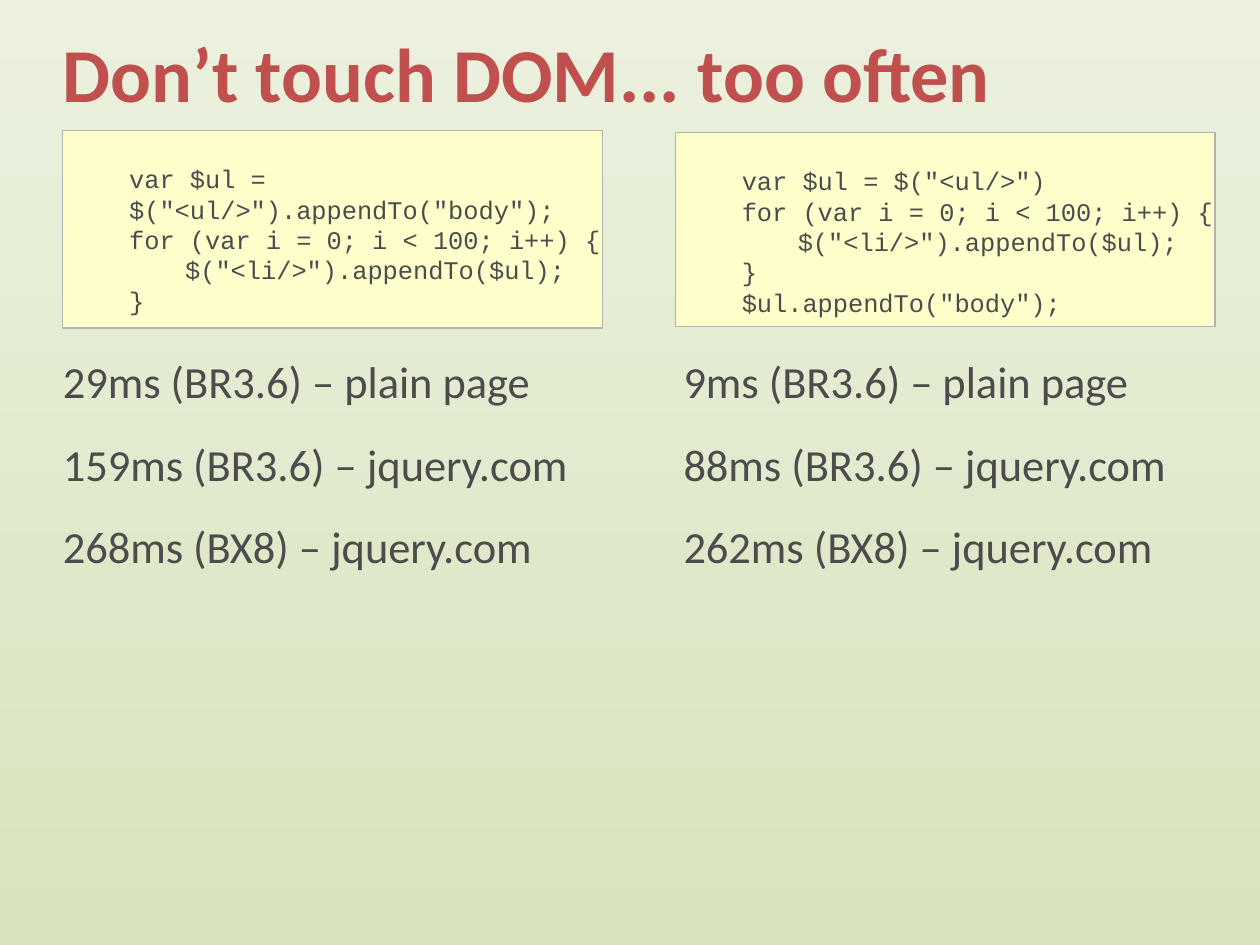
import dataclasses

import pptx
import pptx.dml.color
import pptx.enum.shapes
import pptx.enum.text
import pptx.util

Inches = pptx.util.Inches
Pt = pptx.util.Pt
RGB = pptx.dml.color.RGBColor.from_string


@dataclasses.dataclass(frozen=True)
class Theme:
    background: tuple = ("EBF1DE", "D7E4BD")
    title_color: str = "C0504D"
    text_color: str = "4C4C4C"
    code_fill: str = "FFFFCC"
    code_line: str = "B2B2B2"
    text_font: str = "Calibri"
    code_font: str = "Courier New"
    title_size: int = 48
    timing_size: int = 28
    code_size: int = 16


THEME = Theme()
COLUMN_WIDTH = 4.72
CODE_INDENT = 0.38
NESTED_INDENT = 0.87

# Code lines are pairs of nesting level and text.
SLOW_CODE = [
    (0, 'var $ul = $("<ul/>").appendTo("body");'),
    (0, "for (var i = 0; i < 100; i++) {"),
    (1, '$("<li/>").appendTo($ul);'),
    (0, "}"),
]
FAST_CODE = [
    (0, 'var $ul = $("<ul/>")'),
    *SLOW_CODE[1:],
    (0, '$ul.appendTo("body");'),
]
SLOW_TIMINGS = [
    "29ms (BR3.6) – plain page",
    "159ms (BR3.6) – jquery.com",
    "268ms (BX8) – jquery.com",
]
FAST_TIMINGS = [
    "9ms (BR3.6) – plain page",
    "88ms (BR3.6) – jquery.com",
    "262ms (BX8) – jquery.com",
]


def paint_background(slide):
    fill = slide.background.fill
    fill.gradient()
    fill.gradient_angle = 270
    for position, (stop, color) in enumerate(zip(fill.gradient_stops, THEME.background)):
        stop.color.rgb = RGB(color)
        stop.position = position


def prepare_frame(shape, left=0, top=0, anchor=pptx.enum.text.MSO_ANCHOR.TOP):
    """Set wrapping, insets and anchor, and return the text frame."""
    frame = shape.text_frame
    frame.word_wrap = True
    frame.auto_size = pptx.enum.text.MSO_AUTO_SIZE.NONE
    frame.vertical_anchor = anchor
    frame.margin_left, frame.margin_top = Inches(left), Inches(top)
    frame.margin_right = frame.margin_bottom = 0
    return frame


def format_paragraph(paragraph, font_name, size, color, spacing, bold=False):
    paragraph.alignment = pptx.enum.text.PP_ALIGN.LEFT
    paragraph.line_spacing = spacing
    font = paragraph.font
    font.name, font.size, font.bold = font_name, Pt(size), bold
    font.color.rgb = RGB(color)


def write_paragraphs(frame, texts):
    """Write one paragraph per text and return the paragraphs."""
    frame.text = "\n".join(texts)
    return frame.paragraphs


def place_title(slide, text, left, top, width, height):
    title = slide.shapes.title
    title.left, title.top = Inches(left), Inches(top)
    title.width, title.height = Inches(width), Inches(height)
    frame = prepare_frame(title, anchor=pptx.enum.text.MSO_ANCHOR.MIDDLE)
    for paragraph in write_paragraphs(frame, [text]):
        format_paragraph(paragraph, THEME.text_font, THEME.title_size,
                         THEME.title_color, 1.02, bold=True)


def add_code_box(slide, lines, left, top, width, height):
    box = slide.shapes.add_shape(
        pptx.enum.shapes.MSO_SHAPE.RECTANGLE,
        Inches(left), Inches(top), Inches(width), Inches(height))
    box.shadow.inherit = False
    box.fill.solid()
    box.fill.fore_color.rgb = RGB(THEME.code_fill)
    box.line.color.rgb = RGB(THEME.code_line)
    box.line.width = Pt(0.75)
    frame = prepare_frame(box, left=0.2, top=0.29)
    paragraphs = write_paragraphs(frame, [text for level, text in lines])
    for paragraph, (level, text) in zip(paragraphs, lines):
        format_paragraph(paragraph, THEME.code_font, THEME.code_size,
                         THEME.text_color, Pt(19.1))
        indent = NESTED_INDENT if level else CODE_INDENT
        paragraph._p.get_or_add_pPr().set("marL", str(Inches(indent)))


def add_timings(slide, timings, left, top, width, height):
    box = slide.shapes.add_textbox(
        Inches(left), Inches(top), Inches(width), Inches(height))
    frame = prepare_frame(box, top=0.02)
    for paragraph in write_paragraphs(frame, timings):
        format_paragraph(paragraph, THEME.text_font, THEME.timing_size,
                         THEME.text_color, 0.95)
        paragraph.space_before = Pt(6)
        paragraph.space_after = Pt(14.2)


def build_slide(presentation):
    slide = presentation.slides.add_slide(presentation.slide_layouts[5])
    paint_background(slide)
    place_title(slide, "Don’t touch DOM... too often", 0.55, 0.21, 9.92, 0.83)
    add_code_box(slide, SLOW_CODE, 0.55, 1.14, COLUMN_WIDTH, 1.73)
    add_code_box(slide, FAST_CODE, 5.91, 1.16, COLUMN_WIDTH, 1.7)
    add_timings(slide, SLOW_TIMINGS, 0.55, 3.11, COLUMN_WIDTH, 1.92)
    add_timings(slide, FAST_TIMINGS, 5.98, 3.11, 4.65, 1.92)


def main():
    presentation = pptx.Presentation()
    # The page is 28 by 21 centimetres.
    presentation.slide_width = Inches(28 / 2.54)
    presentation.slide_height = Inches(21 / 2.54)
    build_slide(presentation)
    presentation.save("out.pptx")


if __name__ == "__main__":
    main()
